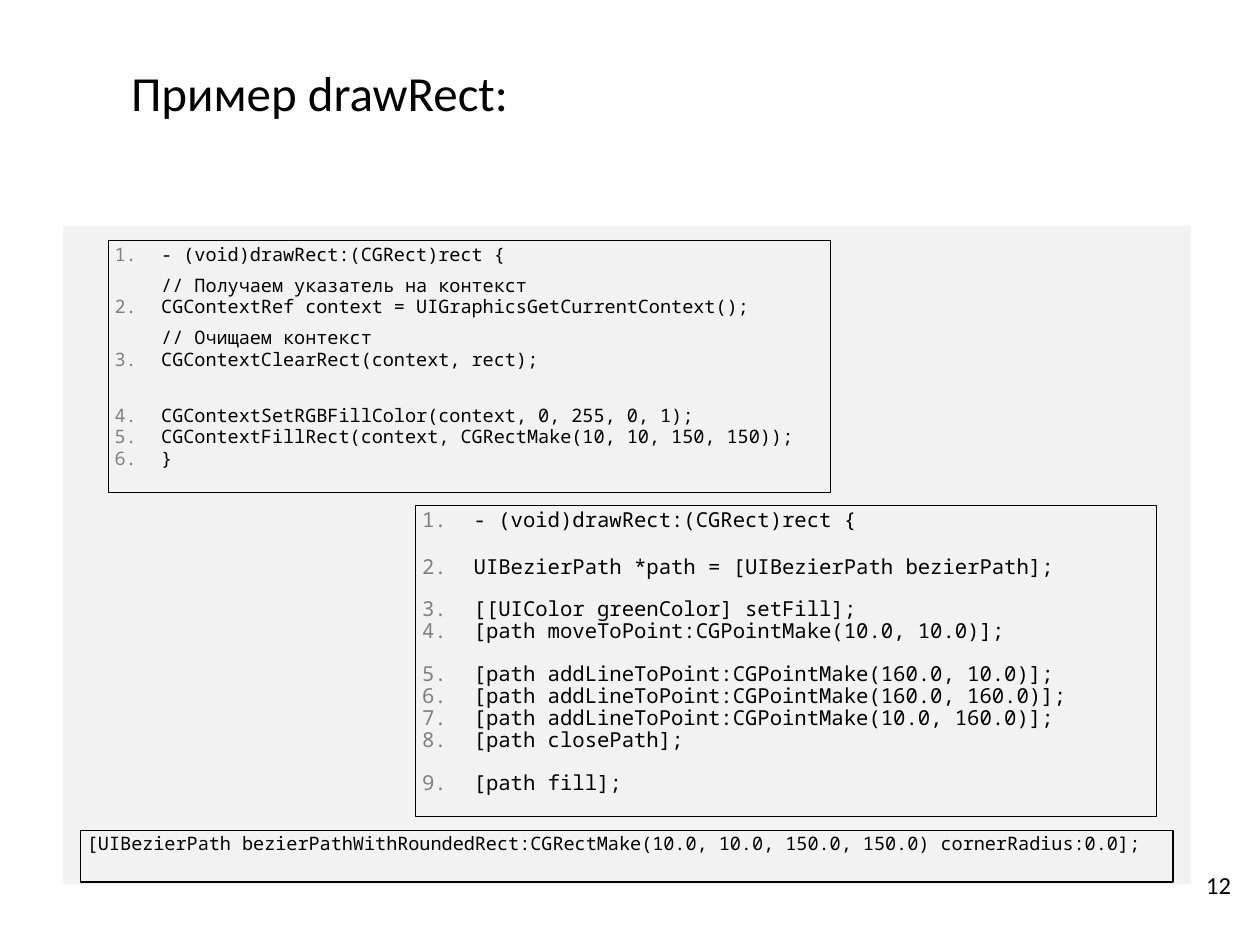
from lxml.etree import SubElement
from pptx import Presentation
from pptx.dml.color import RGBColor
from pptx.enum.shapes import MSO_SHAPE
from pptx.enum.text import MSO_ANCHOR, PP_ALIGN
from pptx.oxml.ns import qn
from pptx.util import Inches, Pt

BLACK = RGBColor(0x00, 0x00, 0x00)
GREY = RGBColor(0x87, 0x87, 0x87)
NUMBER_GREY = RGBColor(0x80, 0x80, 0x80)
TEXT_FONT = "Calibri"
CODE_FONT = "Noto Sans Mono"
COMMENT_GAP_SIZE = 8

CONTEXT_CODE = [
    (2, ["- (void)drawRect:(CGRect)rect {", "// Получаем указатель на контекст"]),
    (2, ["CGContextRef context = UIGraphicsGetCurrentContext();", "// Очищаем контекст"]),
    (2, ["CGContextClearRect(context, rect);"]),
    (22, ["CGContextSetRGBFillColor(context, 0, 255, 0, 1);"]),
    (2, ["CGContextFillRect(context, CGRectMake(10, 10, 150, 150));"]),
    (2, ["}"]),
]
BEZIER_CODE = [
    (1.4, ["- (void)drawRect:(CGRect)rect {"]),
    (15.7, ["UIBezierPath *path = [UIBezierPath bezierPath];"]),
    (12.8, ["[[UIColor greenColor] setFill];"]),
    (1.4, ["[path moveToPoint:CGPointMake(10.0, 10.0)];"]),
    (12.8, ["[path addLineToPoint:CGPointMake(160.0, 10.0)];"]),
    (1.4, ["[path addLineToPoint:CGPointMake(160.0, 160.0)];"]),
    (1.4, ["[path addLineToPoint:CGPointMake(10.0, 160.0)];"]),
    (1.4, ["[path closePath];"]),
    (12.8, ["[path fill];"]),
]
ROUNDED_CODE = [
    (2, ["[UIBezierPath bezierPathWithRoundedRect:"
         "CGRectMake(10.0, 10.0, 150.0, 150.0) cornerRadius:0.0];"]),
]


def set_frame(frame, anchor, wrap=True):
    """Give a text frame its margins, anchor and wrapping."""
    frame.margin_left = frame.margin_right = Inches(0.05)
    frame.margin_top = frame.margin_bottom = Inches(0.05)
    frame.vertical_anchor = anchor
    frame.word_wrap = wrap


def add_span(para, text, size, font):
    """Append one black run to a paragraph."""
    span = para.add_run()
    span.text = text
    span.font.size = Pt(size)
    span.font.name = font
    span.font.color.rgb = BLACK


def add_label(page, at, text, size, align=PP_ALIGN.LEFT, wrap=True):
    """Add a one-line text box."""
    box = page.shapes.add_textbox(*map(Inches, at))
    set_frame(box.text_frame, MSO_ANCHOR.MIDDLE, wrap)
    para = box.text_frame.paragraphs[0]
    para.alignment = align
    para.line_spacing = 0.9
    add_span(para, text, size, TEXT_FONT)


def add_rectangle(page, at):
    """Add a rectangle without fill, line or shadow."""
    box = page.shapes.add_shape(MSO_SHAPE.RECTANGLE, *map(Inches, at))
    box.shadow.inherit = False
    box.fill.background()
    box.line.fill.background()
    return box


def add_panel(page, at):
    """Add the translucent grey panel behind the code."""
    panel = add_rectangle(page, at)
    panel.fill.solid()
    panel.fill.fore_color.rgb = GREY
    color = panel.fill._xPr.find(f"{qn('a:solidFill')}/{qn('a:srgbClr')}")
    SubElement(color, qn("a:alpha"), val="10000")


def number_paragraph(para, indent):
    """Number a paragraph in grey with a hanging indent."""
    properties = para._p.get_or_add_pPr()
    properties.set("marL", str(Inches(indent)))
    properties.set("indent", str(-Inches(indent)))
    color = SubElement(properties, qn("a:buClr"))
    SubElement(color, qn("a:srgbClr"), val=str(NUMBER_GREY))
    SubElement(properties, qn("a:buFont"), typeface=CODE_FONT)
    SubElement(properties, qn("a:buAutoNum"), type="arabicPeriod")


def add_comment_gap(para):
    """Break to a comment line, leaving a low gap above it."""
    for _ in range(2):
        para.add_line_break()
    for line_break in para._p.findall(qn("a:br")):
        properties = SubElement(line_break, qn("a:rPr"), sz=str(COMMENT_GAP_SIZE * 100))
        SubElement(properties, qn("a:latin"), typeface=CODE_FONT)


def add_code(page, at, code, size, indent=None):
    """Add an outlined code listing, numbered when an indent is given."""
    box = add_rectangle(page, at)
    box.line.color.rgb = BLACK
    box.line.width = Pt(0.75)
    frame = box.text_frame
    set_frame(frame, MSO_ANCHOR.TOP)
    for index, (space, lines) in enumerate(code):
        para = frame.add_paragraph() if index else frame.paragraphs[0]
        para.alignment = PP_ALIGN.LEFT
        para.line_spacing = 0.8
        para.space_before = Pt(space)
        if indent:
            number_paragraph(para, indent)
        add_span(para, lines[0], size, CODE_FONT)
        for comment in lines[1:]:
            add_comment_gap(para)
            add_span(para, comment, size, CODE_FONT)


def main():
    """Build the slide and save the deck."""
    deck = Presentation()
    deck.slide_width, deck.slide_height = Inches(10), Inches(7.5)
    page = deck.slides.add_slide(deck.slide_layouts[6])
    add_panel(page, (0.5, 1.79, 8.95, 5.23))
    add_label(page, (0.99, 0.28, 6.88, 0.95), "Пример drawRect:", 28)
    add_code(page, (0.86, 1.91, 5.73, 2), CONTEXT_CODE, 10.6, 0.37)
    add_label(page, (9.52, 6.88, 0.3, 0.31), "12", 14, PP_ALIGN.RIGHT, False)
    add_code(page, (3.3, 4.01, 5.88, 2.47), BEZIER_CODE, 11.8, 0.41)
    add_code(page, (0.64, 6.59, 8.67, 0.41), ROUNDED_CODE, 10.6)
    deck.save("out.pptx")


if __name__ == "__main__":
    main()
